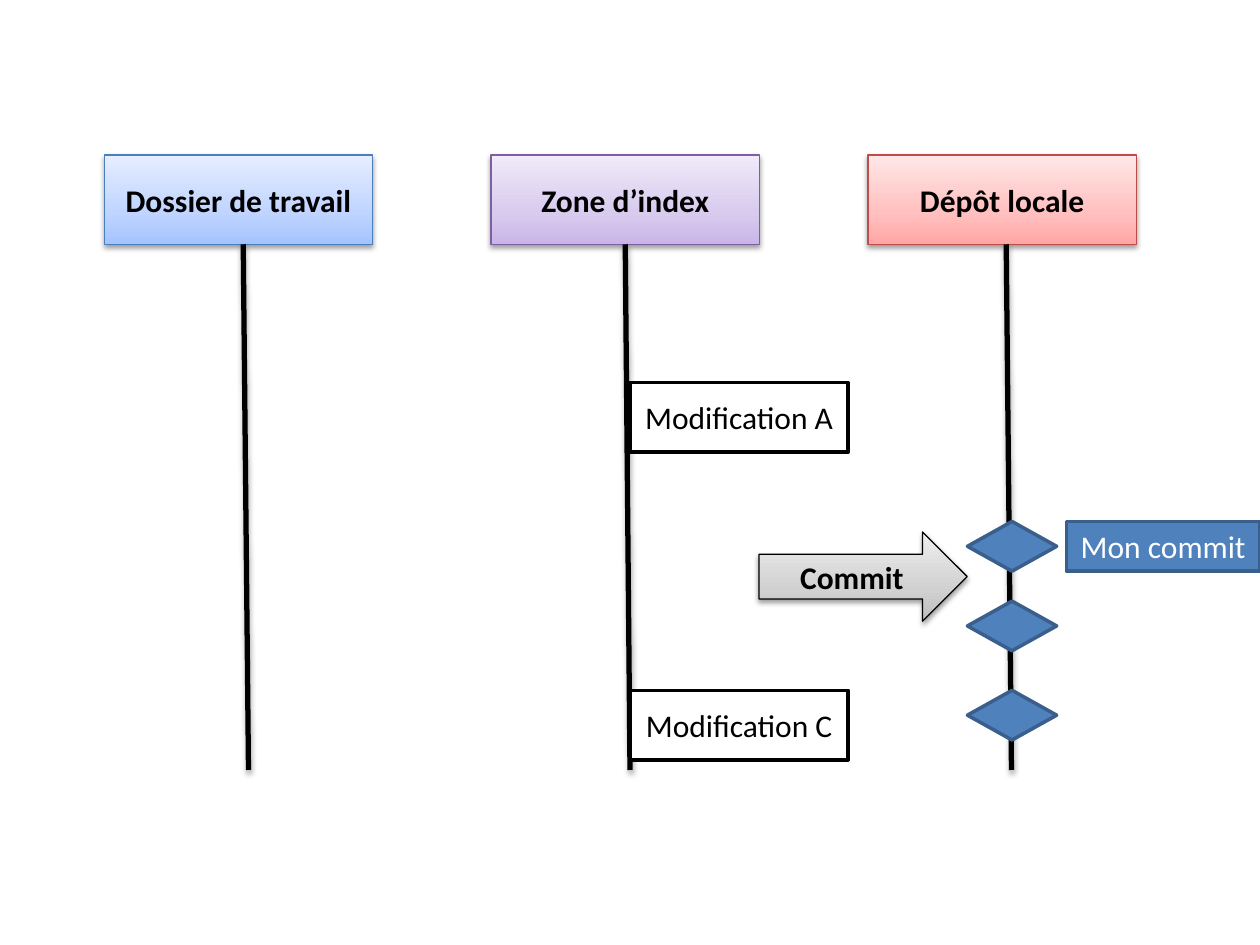
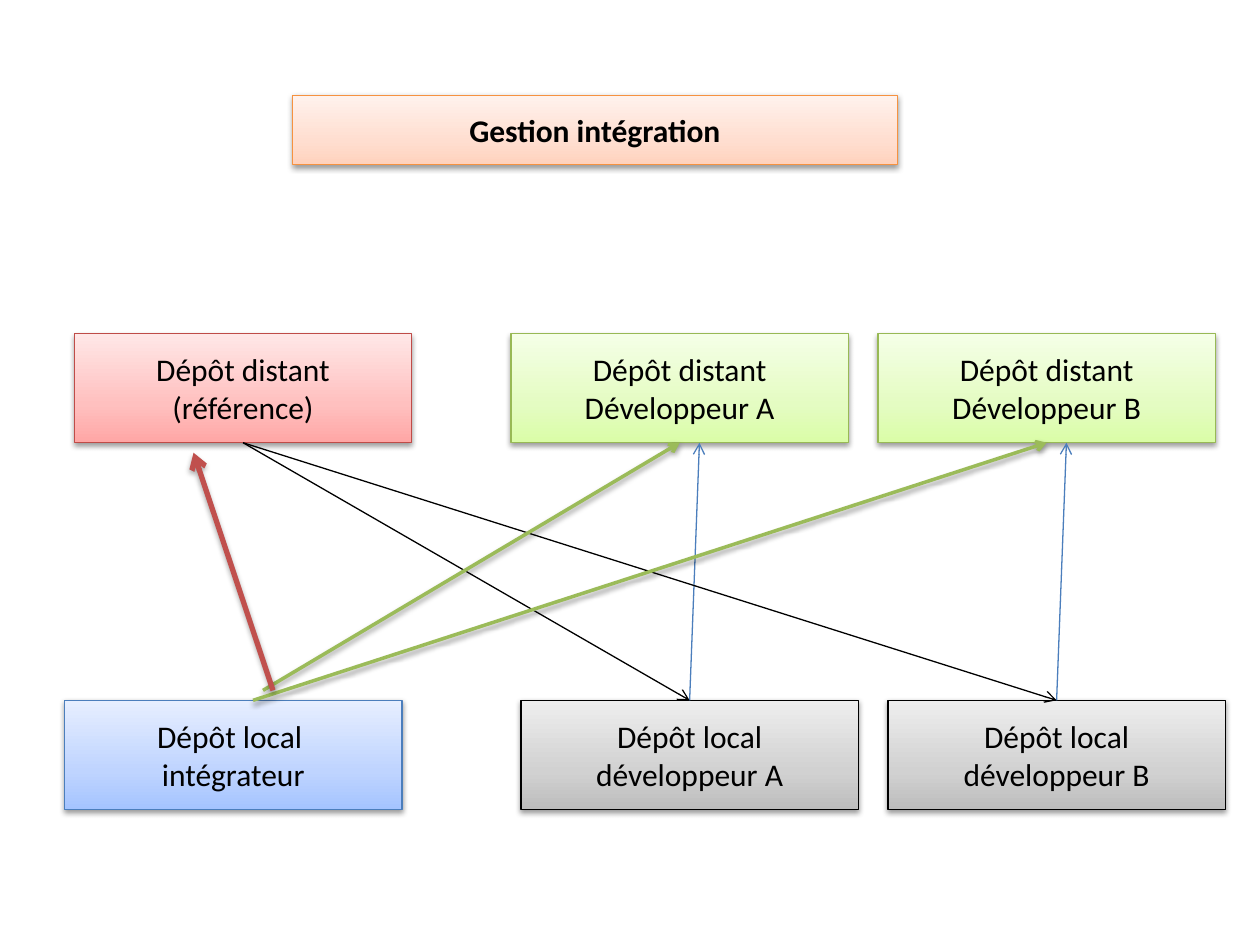
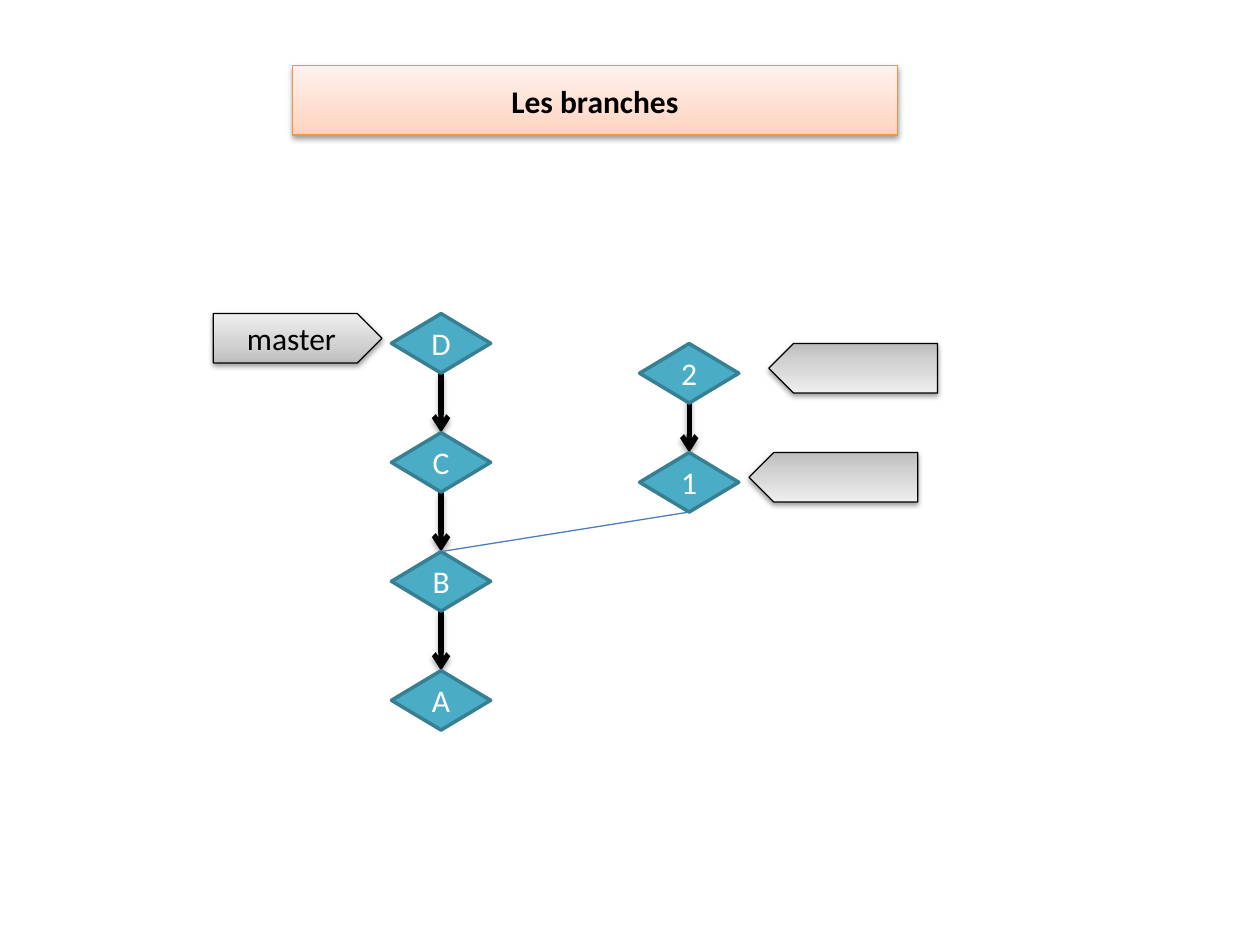
import copy

import pptx
import pptx.dml.color
import pptx.enum.shapes
import pptx.enum.text
import pptx.oxml
import pptx.oxml.ns
import pptx.util

Pt = pptx.util.Pt
RGB = pptx.dml.color.RGBColor
SHAPE = pptx.enum.shapes.MSO_SHAPE
TOP, BOTTOM = 0, 2

FONT = "Calibri"
BLACK = RGB(0x00, 0x00, 0x00)
WHITE = RGB(0xFF, 0xFF, 0xFF)
BLUE_EDGE = RGB(0x4B, 0x7E, 0xBC)
GREEN = RGB(0x9B, 0xBB, 0x59)
RED = RGB(0xC0, 0x50, 0x4D)

# Gradient stops from bottom to top, then the outline
GRADIENTS = {
    "blue": (RGB(0xA4, 0xC4, 0xFF), RGB(0xBF, 0xD4, 0xFF), RGB(0xE6, 0xEE, 0xFF), BLUE_EDGE),
    "purple": (RGB(0xC9, 0xB5, 0xE8), RGB(0xD8, 0xCB, 0xEE), RGB(0xF0, 0xEA, 0xF9), RGB(0x7D, 0x60, 0xA0)),
    "red": (RGB(0xFF, 0xA6, 0xA5), RGB(0xFF, 0xC0, 0xBF), RGB(0xFF, 0xE7, 0xE7), RGB(0xBF, 0x4C, 0x48)),
    "green": (RGB(0xDA, 0xFD, 0xA7), RGB(0xE4, 0xFC, 0xC2), RGB(0xF5, 0xFF, 0xE7), RGB(0x98, 0xB9, 0x55)),
    "gray": (RGB(0xBD, 0xBD, 0xBD), RGB(0xD1, 0xD1, 0xD1), RGB(0xEE, 0xEE, 0xEE), BLACK),
    "orange": (RGB(0xFF, 0xD2, 0xBD), RGB(0xFF, 0xDE, 0xD0), RGB(0xFF, 0xF2, 0xED), RGB(0xF6, 0x92, 0x40)),
}
STOP_POSITIONS = (0, 0.35, 1)
# Fill, outline, text
SOLIDS = {
    "commit": (RGB(0x4F, 0x81, 0xBD), RGB(0x3A, 0x5F, 0x8C), WHITE),
    "change": (WHITE, BLACK, BLACK),
    "node": (RGB(0x4B, 0xAC, 0xC6), RGB(0x37, 0x7F, 0x92), WHITE),
}

# Slide 1: name, style, box left, line x
LANES = [
    ("Dossier de travail", "blue", 59.6, 139),
    ("Zone d’index", "purple", 280.6, 357),
    ("Dépôt locale", "red", 496, 575),
]
LANE_TOP, LANE_WIDTH, LANE_HEIGHT, LANE_END = 88.6, 153.4, 51, 440
CHANGES = [("Modification A", 218.6), ("Modification C", 394.5)]
COMMIT_TOPS = [394.5, 343.5, 298]
COMMIT_LEFT, COMMIT_WIDTH, COMMIT_HEIGHT = 552.8, 51, 28.4

# Slide 2: a line feed starts a paragraph, a vertical tab breaks the line
REPOSITORIES = {
    "remote A": ("Dépôt distant\nDéveloppeur A", "green", 292, 190.6),
    "remote B": ("Dépôt distant\nDéveloppeur B", "green", 501.7, 190.6),
    "reference": ("Dépôt distant\v(référence)", "red", 42.5, 190.6),
    "local B": ("Dépôt local\vdéveloppeur B", "gray", 507.4, 400.2),
    "local A": ("Dépôt local\vdéveloppeur A", "gray", 297.7, 400.2),
    "integrator": ("Dépôt local \vintégrateur", "blue", 36.9, 400.2),
}
REPOSITORY_SIZE = (192.8, 62.4)
# Start, end, colour, width; an end is a point or a repository and its side
FLOWS = [
    (("local A", TOP), (399.7, 253), BLUE_EDGE, 0.75),
    (("local B", TOP), (609.4, 253), BLUE_EDGE, 0.75),
    (("reference", BOTTOM), ("local A", TOP), BLACK, 0.75),
    (("reference", BOTTOM), ("local B", TOP), BLACK, 0.75),
    ((150.3, 394.5), ("remote A", BOTTOM), GREEN, 2),
    ((144.6, 400.2), ("remote B", BOTTOM), GREEN, 2),
    ((156, 394.5), (110.6, 258.7), RED, 3),
]

# Slide 3
MAIN_BRANCH, MAIN_LEFT, MAIN_TOP, MAIN_STEP = "DCBA", 223.7, 179.2, 68
SIDE_BRANCH, SIDE_LEFT, SIDE_TOP, SIDE_STEP = "21", 365.5, 196.3, 62.3
NODE_SIZE = (56.7, 34)
TAG_SIZE = (96.4, 28.3)
# Text, left, top, rotation
TAGS = [("master", 121.9, 179.2, 0), ("", 428, 258.6, 180), ("", 439.3, 196.3, 180)]


def add_shadow(element, alpha, distance):
    namespace = pptx.oxml.ns.nsdecls("a")
    element.spPr.append(pptx.oxml.parse_xml(
        f'<a:effectLst {namespace}><a:outerShdw blurRad="{Pt(3.15)}" dist="{Pt(distance)}" '
        f'dir="5400000" rotWithShape="0"><a:srgbClr val="000000"><a:alpha val="{alpha * 1000}"/>'
        f'</a:srgbClr></a:outerShdw></a:effectLst>'))


def fill_gradient(shape, colors):
    shape.fill.gradient()
    shape.fill.gradient_angle = 90
    stop_list = shape._element.spPr.find(".//" + pptx.oxml.ns.qn("a:gsLst"))
    stop_list.insert(1, copy.deepcopy(stop_list[0]))
    for stop, color, position in zip(shape.fill.gradient_stops, colors, STOP_POSITIONS):
        stop.color.rgb = color
        stop.position = position


def write(shape, text, color=BLACK, bold=False, size=18):
    frame = shape.text_frame
    frame.word_wrap = True
    frame.vertical_anchor = pptx.enum.text.MSO_ANCHOR.MIDDLE
    frame.text = text
    for para in frame.paragraphs:
        para.alignment = pptx.enum.text.PP_ALIGN.CENTER
        for span in para.runs:
            span.font.name, span.font.size, span.font.bold = FONT, Pt(size), bold
            span.font.color.rgb = color


def add_box(page, text, style, left, top, size, kind=SHAPE.RECTANGLE, bold=False):
    width, height = size
    box = page.shapes.add_shape(kind, Pt(left), Pt(top), Pt(width), Pt(height))
    if style in GRADIENTS:
        *stops, edge = GRADIENTS[style]
        color, edge_width = BLACK, 0.75
        fill_gradient(box, stops)
    else:
        fill, edge, color = SOLIDS[style]
        edge_width = 2
        box.fill.solid()
        box.fill.fore_color.rgb = fill
    box.line.color.rgb = edge
    box.line.width = Pt(edge_width)
    if style in GRADIENTS:
        add_shadow(box._element, 38, 1.57)
    else:
        box.shadow.inherit = False
    if text:
        write(box, text, color, bold)
    return box


def add_line(page, start, end, color=BLACK, width=3, arrow=True, behind=False):
    """Each end is a point (x, y) or a pair (shape, side) to be joined."""
    joined = [hasattr(where[0], "shape_id") for where in (start, end)]
    points = [Pt(0) if glued else Pt(value)
              for where, glued in zip((start, end), joined) for value in where]
    line = page.shapes.add_connector(pptx.enum.shapes.MSO_CONNECTOR.STRAIGHT, *points)
    if joined[0]:
        line.begin_connect(*start)
    if joined[1]:
        line.end_connect(*end)
    line.line.color.rgb = color
    line.line.width = Pt(width)
    properties = line._element.spPr
    namespace = pptx.oxml.ns.nsdecls("a")
    if arrow:
        outline = properties.find(pptx.oxml.ns.qn("a:ln"))
        outline.append(pptx.oxml.parse_xml(f'<a:tailEnd {namespace} type="arrow"/>'))
    if width > 2:
        add_shadow(line._element, 35, 1.81)
    elif width == 2:
        add_shadow(line._element, 38, 1.57)
    else:
        properties.append(pptx.oxml.parse_xml(f"<a:effectLst {namespace}/>"))
    if behind:
        page.shapes[0]._element.addprevious(line._element)


def add_title(page, text, top):
    add_box(page, text, "orange", 167.2, top, (345.6, 39.7), bold=True)


def build_commit_page(page):
    size = (LANE_WIDTH, LANE_HEIGHT)
    boxes = [add_box(page, name, style, left, LANE_TOP, size, bold=True)
             for name, style, left, x in LANES]
    for box, (name, style, left, x) in zip(boxes, LANES):
        centred = abs(left + LANE_WIDTH / 2 - x) < 1
        start = (box, BOTTOM) if centred else (x, LANE_TOP + LANE_HEIGHT)
        add_line(page, start, (x + 3, LANE_END), arrow=False)
    for text, top in CHANGES:
        add_box(page, text, "change", 360, top, (124.7, 39.7))
    add_box(page, "Commit", "gray", 433.7, 304, (119, 51), SHAPE.RIGHT_ARROW, bold=True)
    for top in COMMIT_TOPS:
        add_box(page, "", "commit", COMMIT_LEFT, top, (COMMIT_WIDTH, COMMIT_HEIGHT),
                SHAPE.FLOWCHART_DECISION)
    add_box(page, "Mon commit", "commit", 609.4, COMMIT_TOPS[-1], (110.6, COMMIT_HEIGHT))


def build_integration_page(page):
    add_title(page, "Gestion intégration", 54.5)
    boxes = {key: add_box(page, *values, REPOSITORY_SIZE) for key, values in REPOSITORIES.items()}
    for start, end, color, width in FLOWS:
        ends = [(boxes.get(where[0], where[0]), where[1]) for where in (start, end)]
        add_line(page, *ends, color, width)


def add_branch(page, names, left, top, step):
    return [add_box(page, name, "node", left, top + step * row, NODE_SIZE, SHAPE.FLOWCHART_DECISION)
            for row, name in enumerate(names)]


def build_branch_page(page):
    add_title(page, "Les branches", 37.5)
    main = add_branch(page, MAIN_BRANCH, MAIN_LEFT, MAIN_TOP, MAIN_STEP)
    side = add_branch(page, SIDE_BRANCH, SIDE_LEFT, SIDE_TOP, SIDE_STEP)
    for child, parent in zip(main, main[1:]):
        add_line(page, (child, BOTTOM), (parent, TOP), behind=True)
    add_line(page, (SIDE_LEFT + NODE_SIZE[0] / 2, 224.6), (side[1], TOP), behind=True)
    add_line(page, (main[2], TOP), (side[1], BOTTOM), BLUE_EDGE, 0.75, arrow=False)
    for text, left, top, rotation in TAGS:
        tag = add_box(page, text, "gray", left, top, TAG_SIZE, SHAPE.PENTAGON)
        tag.rotation = rotation


def main():
    deck = pptx.Presentation()
    deck.slide_width, deck.slide_height = Pt(720), Pt(540)
    for build in (build_commit_page, build_integration_page, build_branch_page):
        build(deck.slides.add_slide(deck.slide_layouts[6]))
    deck.save("out.pptx")


if __name__ == "__main__":
    main()
